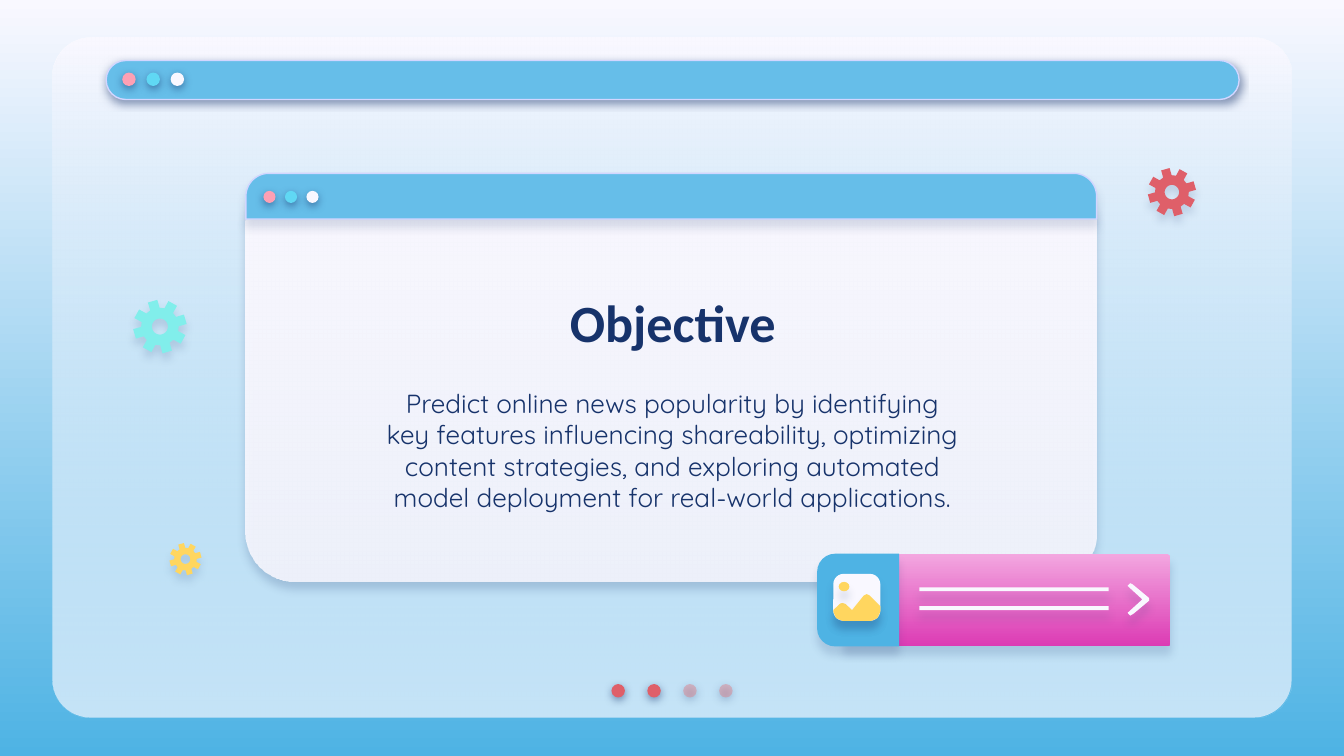
from math import cos, radians, sin

from lxml import etree
from pptx import Presentation
from pptx.dml.color import RGBColor
from pptx.enum.shapes import MSO_SHAPE
from pptx.enum.text import MSO_ANCHOR, MSO_AUTO_SIZE, PP_ALIGN
from pptx.oxml.ns import qn
from pptx.util import Inches, Pt

ROUNDED = MSO_SHAPE.ROUNDED_RECTANGLE
TOP_ROUNDED = MSO_SHAPE.ROUND_2_SAME_RECTANGLE
RECTANGLE = MSO_SHAPE.RECTANGLE
OVAL = MSO_SHAPE.OVAL
CENTER = PP_ALIGN.CENTER
MIDDLE = MSO_ANCHOR.MIDDLE
NO_AUTOFIT = MSO_AUTO_SIZE.NONE

NAVY, WHITE, BLUE, SKY = "17336B", "F9F8FF", "4EB3E4", "66BEE9"
RED, YELLOW, OUTLINE = "DF5F69", "FFD65F", "D2D6FF"
WINDOW_DOTS = ("FDA0B4", "60D8F4", WHITE)
# Opacity in percent and distance in points
DOT_SHADOW, SOFT_SHADOW, CARD_SHADOW = (50, 1.5), (15, 3.8), (15, 4.5)


def color(value):
    return RGBColor.from_string(value)


def set_alpha(color_element, percent):
    etree.SubElement(color_element, qn("a:alpha"), val=str(percent * 1000))


def fill_gradient(fill, top, bottom):
    fill.gradient()
    fill.gradient_angle = 270
    for stop, value in zip(fill.gradient_stops, (top, bottom)):
        stop.color.rgb = color(value)


def style(shape, fill, shadow=None, outline=None, alpha=None):
    """Fill with a hex string or a (top, bottom) pair; alpha is for the last colour."""
    if isinstance(fill, tuple):
        fill_gradient(shape.fill, *fill)
    else:
        shape.fill.solid()
        shape.fill.fore_color.rgb = color(fill)
    properties = shape.element.spPr
    if alpha is not None:
        set_alpha(list(properties.iter(qn("a:srgbClr")))[-1], alpha)
    if outline:
        shape.line.color.rgb = color(outline)
        shape.line.width = Pt(0.75)
    else:
        shape.line.fill.background()
    shape.shadow.inherit = False
    if shadow:
        opacity, distance = shadow
        effect = etree.SubElement(
            properties.find(qn("a:effectLst")), qn("a:outerShdw"),
            blurRad=str(Pt(4.5)), dist=str(Pt(distance)), dir="5400000",
            algn="bl", rotWithShape="0")
        set_alpha(etree.SubElement(effect, qn("a:srgbClr"), val=NAVY), opacity)


def add_preset(page, kind, box, fill, radius=None, **looks):
    shape = page.shapes.add_shape(kind, *map(Inches, box))
    if radius is not None:
        shape.adjustments[0] = radius
    style(shape, fill, **looks)
    return shape


def add_outline(page, contours, fill, shadow):
    """Draw closed contours, given as points in inches, as one shape."""
    first, *others = [[(Inches(x), Inches(y)) for x, y in contour]
                      for contour in contours]
    builder = page.shapes.build_freeform(*first[0])
    builder.add_line_segments(first[1:])
    for contour in others:
        builder.move_to(*contour[0])
        builder.add_line_segments(contour[1:])
    style(builder.convert_to_shape(), fill, shadow)


def add_dots(page, left, top, size, step, colors, alphas=(None,) * 4):
    for index, (fill, alpha) in enumerate(zip(colors, alphas)):
        add_preset(page, OVAL, (left + index * step, top, size, size), fill,
                   shadow=DOT_SHADOW, alpha=alpha)


def add_frame(page, box):
    left, top, width, height = box
    add_preset(page, ROUNDED, box, WHITE, 0.056)
    add_preset(page, ROUNDED, box, (WHITE, SKY), 0.056, alpha=35)
    add_dots(page, left + 4.16, top + height - 0.25, 0.1, 0.267,
             (RED, RED, "E27B83", "E27B83"), (None, None, 44, 44))
    add_preset(page, ROUNDED, (left + 0.4, top + 0.17, width - 0.79, 0.29), SKY, 0.5,
               shadow=DOT_SHADOW, outline=OUTLINE)
    add_dots(page, left + 0.52, top + 0.26, 0.1, 0.18, WINDOW_DOTS)


def add_window(page, box):
    left, top, width, _ = box
    add_preset(page, ROUNDED, box, (WHITE, WHITE), 0.124, shadow=(22, 3.8), alpha=87)
    add_preset(page, TOP_ROUNDED, (left, top, width, 0.34), SKY, 0.5,
               shadow=SOFT_SHADOW, outline=OUTLINE)
    add_dots(page, left + 0.13, top + 0.13, 0.09, 0.16, WINDOW_DOTS)


def place_text(page, holder, box, text, font, size, bold=False):
    """Move a placeholder to the front and format its single paragraph."""
    page.shapes.element.append(holder.element)
    holder.left, holder.top, holder.width, holder.height = map(Inches, box)
    frame = holder.text_frame
    frame.text = text
    frame.word_wrap = True
    frame.auto_size = NO_AUTOFIT
    frame.vertical_anchor = MIDDLE
    frame.margin_left = frame.margin_right = Inches(0.1)
    frame.margin_top = frame.margin_bottom = Inches(0.1)
    para = frame.paragraphs[0]
    para.alignment = CENTER
    para.space_before = Pt(0)
    para.line_spacing = 1.0
    span = para.runs[0]
    span.font.name, span.font.size, span.font.bold = font, Pt(size), bold
    span.font.color.rgb = color(NAVY)


def add_picture_icon(page, left, top, size):
    add_preset(page, ROUNDED, (left, top, size, size), WHITE, 0.22, shadow=CARD_SHADOW)
    hills = ((0, 0.77), (0.15, 0.63), (0.2, 0.62), (0.26, 0.64), (0.4, 0.77),
             (0.65, 0.46), (0.71, 0.43), (0.77, 0.46), (1, 0.69), (1, 0.8),
             (0.94, 0.94), (0.8, 1), (0.2, 1), (0.06, 0.94), (0, 0.8))
    points = [(left + x * size, top + y * size) for x, y in hills]
    add_outline(page, [points], YELLOW, CARD_SHADOW)
    add_preset(page, OVAL, (left + 0.04, top + 0.06, 0.08, 0.07), YELLOW,
               shadow=CARD_SHADOW)


def add_media_card(page, box):
    left, top, width, height = box
    tab = 0.61
    add_preset(page, ROUNDED, (left + 0.19, top, width - 0.19, height),
               ("F3A7E0", "DC3BB4"), 0.05, shadow=CARD_SHADOW)
    # The tab is turned a quarter so that its rounded side faces left
    shift = (height - tab) / 2
    side = add_preset(page, TOP_ROUNDED, (left - shift, top + shift, height, tab),
                      BLUE, 0.22, shadow=CARD_SHADOW)
    side.rotation = 270
    for offset in (0.25, 0.39):
        add_preset(page, RECTANGLE, (left + 0.76, top + offset, 1.41, 0.03), WHITE,
                   shadow=CARD_SHADOW)
    chevron = ((0.02, 0), (0.04, 0.01), (0.16, 0.11), (0.16, 0.13), (0.04, 0.23),
               (0.02, 0.24), (0, 0.22), (0.11, 0.12), (0, 0.02))
    points = [(left + 2.31 + x, top + 0.22 + y) for x, y in chevron]
    add_outline(page, [points], WHITE, CARD_SHADOW)
    add_picture_icon(page, left + 0.12, top + 0.15, 0.35)


def add_gear(page, x, y, radius, fill, teeth=8, turn=29):
    """Draw a gear with a round hole, centred at x, y."""
    def point(angle, share):
        return (x + radius * share * cos(radians(angle)),
                y + radius * share * sin(radians(angle)))

    corners = ((-15, 0.7), (-10.5, 1), (10.5, 1), (15, 0.7))
    rim = [point(turn + tooth * 360 / teeth + angle, share)
           for tooth in range(teeth) for angle, share in corners]
    hole = [point(-angle, 0.3) for angle in range(0, 360, 15)]
    add_outline(page, [rim, hole], fill, SOFT_SHADOW)


def main():
    deck = Presentation()
    deck.slide_width = Inches(10)
    deck.slide_height = deck.slide_width * 9 // 16
    page = deck.slides.add_slide(deck.slide_layouts[0])
    fill_gradient(page.background.fill, WHITE, BLUE)
    add_frame(page, (0.39, 0.28, 9.22, 5.06))
    add_window(page, (1.83, 1.29, 6.33, 3.04))
    place_text(page, page.placeholders[1], (2.75, 2.71, 4.51, 1.28),
               "Predict online news popularity by identifying key features influencing "
               "shareability, optimizing content strategies, and exploring automated "
               "model deployment for real-world applications.", "Quicksand", 14)
    place_text(page, page.shapes.title, (2.75, 2.08, 4.51, 0.63),
               "Objective", "Calibri", 28, bold=True)
    add_media_card(page, (6.08, 4.12, 2.63, 0.69))
    add_gear(page, 1.19, 2.43, 0.2, "81EEEB")
    add_gear(page, 8.72, 1.43, 0.18, RED)
    add_gear(page, 1.38, 4.16, 0.12, YELLOW)
    deck.save("out.pptx")


if __name__ == "__main__":
    main()
